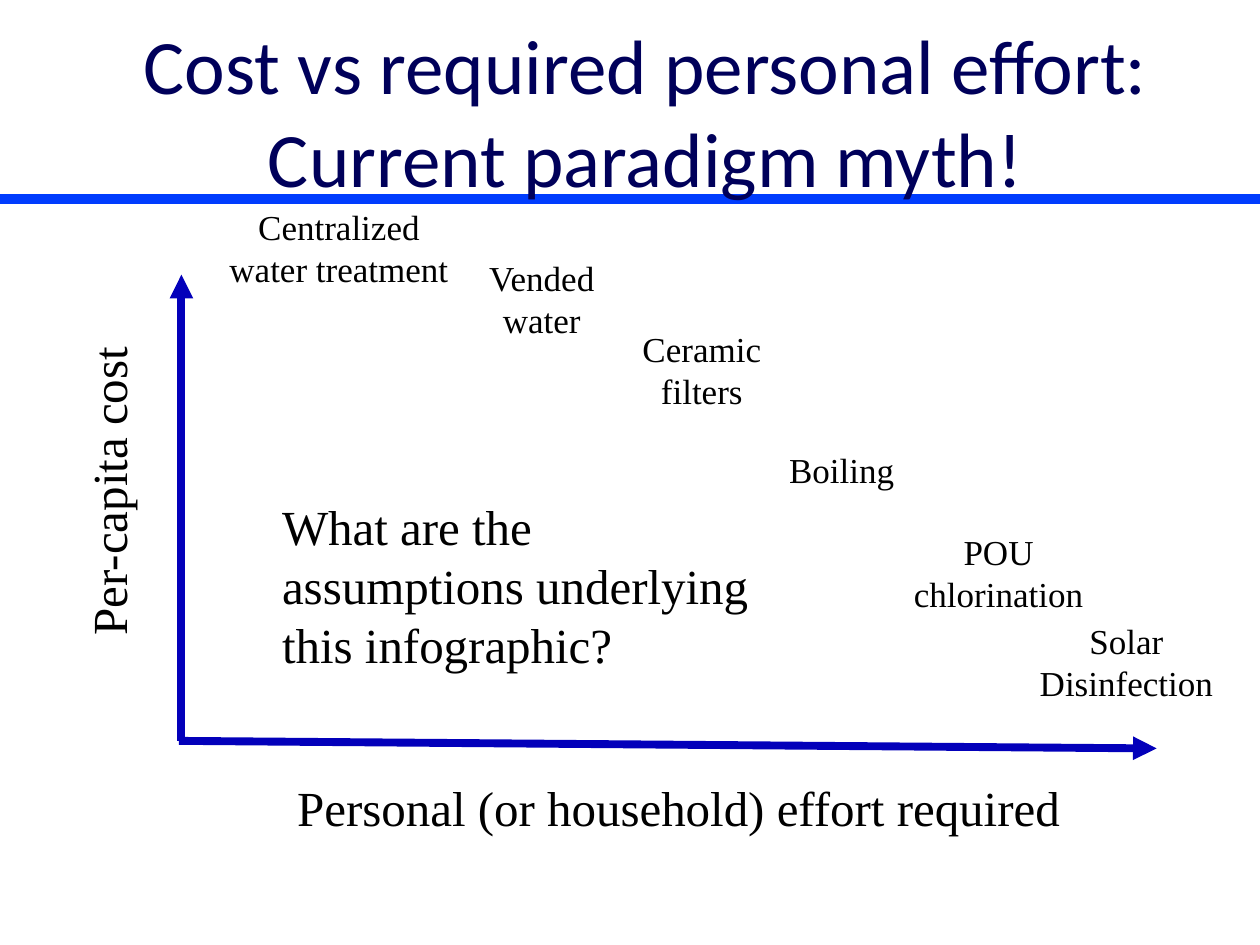
from lxml import etree
from pptx import Presentation
from pptx.dml.color import RGBColor
from pptx.enum.shapes import MSO_CONNECTOR as Connector
from pptx.enum.text import MSO_ANCHOR as Anchor, MSO_AUTO_SIZE as AutoSize, PP_ALIGN as Align
from pptx.oxml.ns import qn
from pptx.util import Inches, Pt

COLORS = {"rule": "003CFE", "title": "00005A", "axis": "0300BA", "text": "000000"}

# The slide is a grid of square cells
COLUMNS, ROWS = 100, 75
CELL = Inches(0.1)

TITLE = {"name": "Calibri", "size": Pt(44)}
LARGE = {"name": "Times New Roman", "size": Pt(28)}
SMALL = {"name": "Times New Roman", "size": Pt(20)}

# Water options: text, column, row, width, height
OPTIONS = [
    ("Centralized water treatment", 16.3, 15.8, 21.2, 7.7),
    ("Vended water", 35.6, 19.9, 14.8, 7.7),
    ("Ceramic filters", 48.3, 25.5, 14.8, 7.7),
    ("Boiling", 61.6, 35.1, 10.4, 4.4),
    ("POU chlorination", 71.2, 41.6, 16.1, 7.7),
    ("Solar Disinfection", 80.4, 48.7, 18, 7.7),
]


def cells(*counts):
    return [round(count * CELL) for count in counts]


def color(name):
    return RGBColor.from_string(COLORS[name])


def add_line(page, start, end, color_name, width, arrow=False):
    line = page.shapes.add_connector(Connector.STRAIGHT, *cells(*start, *end))
    line.line.color.rgb = color(color_name)
    line.line.width = Pt(width)
    if arrow:
        etree.SubElement(line.line._get_or_add_ln(), qn("a:tailEnd"), type="triangle")
    etree.SubElement(line._element.spPr, qn("a:effectLst"))


def add_text(page, text, place, style, align=Align.LEFT, color_name="text", rotation=0, **frame_values):
    box = page.shapes.add_textbox(*cells(*place))
    box.rotation = rotation
    frame = box.text_frame
    values = {"word_wrap": True, "auto_size": AutoSize.SHAPE_TO_FIT_TEXT, **frame_values}
    for name, value in values.items():
        setattr(frame, name, value)
    para = frame.paragraphs[0]
    para.alignment = align
    span = para.add_run()
    span.text = text
    for name, value in style.items():
        setattr(span.font, name, value)
    span.font.color.rgb = color(color_name)


def main():
    deck = Presentation()
    deck.slide_width, deck.slide_height = cells(COLUMNS, ROWS)
    page = deck.slides.add_slide(deck.slide_layouts[6])

    # Heading and its rule
    add_line(page, (0, 15.8), (COLUMNS, 15.8), "rule", 6)
    add_text(page, "Cost vs required personal effort: Current paradigm myth!",
             (5, 2.5, 92.5, 12.5), TITLE, Align.CENTER, "title",
             auto_size=AutoSize.NONE, vertical_anchor=Anchor.MIDDLE)

    # Axes and their names
    add_line(page, (14.4, 58.8), (14.4, 21.8), "axis", 4.5, arrow=True)
    add_line(page, (14.2, 58.8), (91.8, 59.4), "axis", 4.5, arrow=True)
    add_text(page, "Per-capita cost", (-4, 36, 25.1, 5.7), LARGE,
             rotation=270, word_wrap=False)
    add_text(page, "Personal (or household) effort required",
             (22.6, 61.2, 63.2, 5.7), LARGE, word_wrap=False)

    # Water options along the falling diagonal
    for text, *place in OPTIONS:
        add_text(page, text, place, SMALL, Align.CENTER)

    # Question
    add_text(page, "What are the assumptions underlying this infographic?",
             (21.4, 38.9, 39.8, 15.1), LARGE)

    deck.save("out.pptx")


if __name__ == "__main__":
    main()
